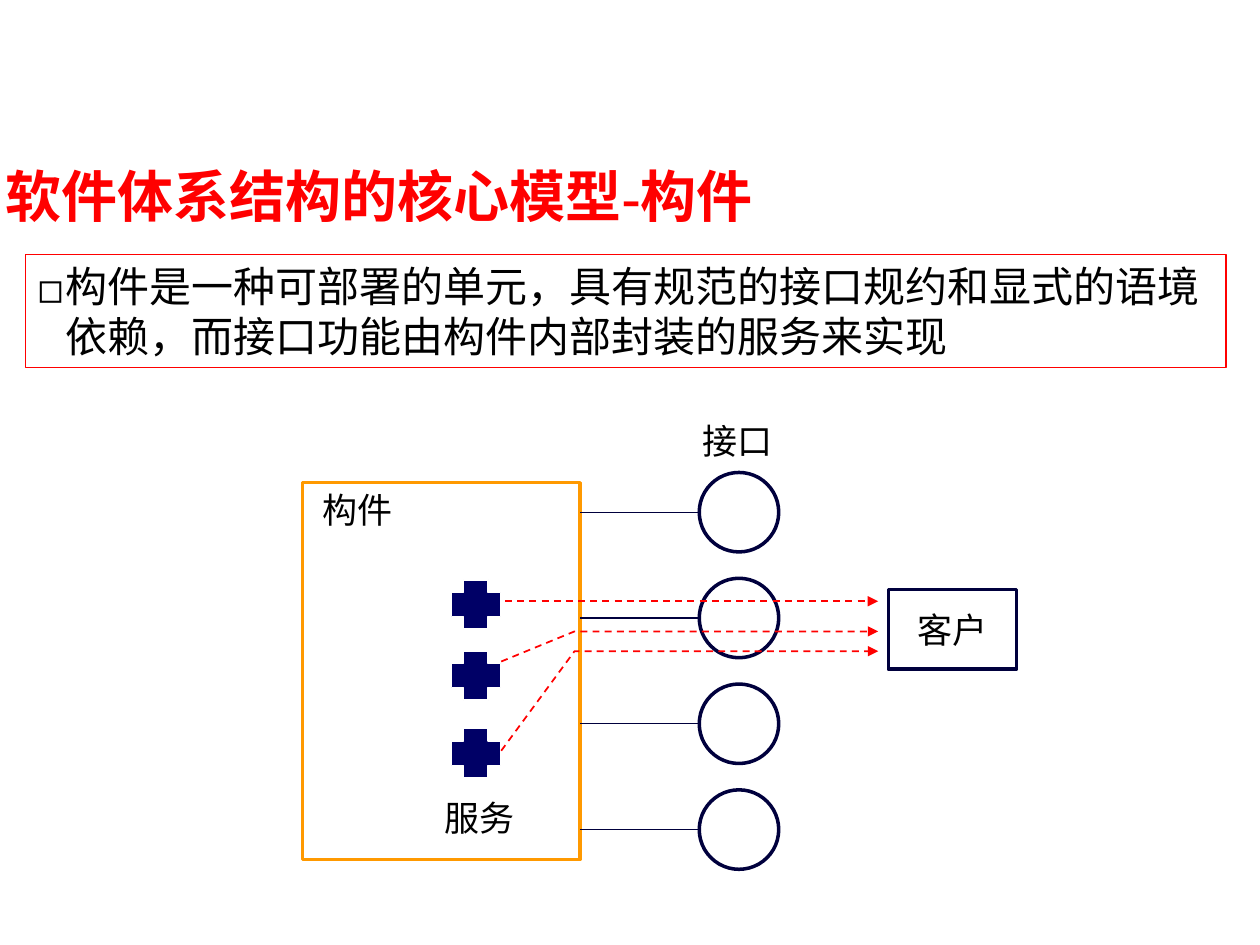
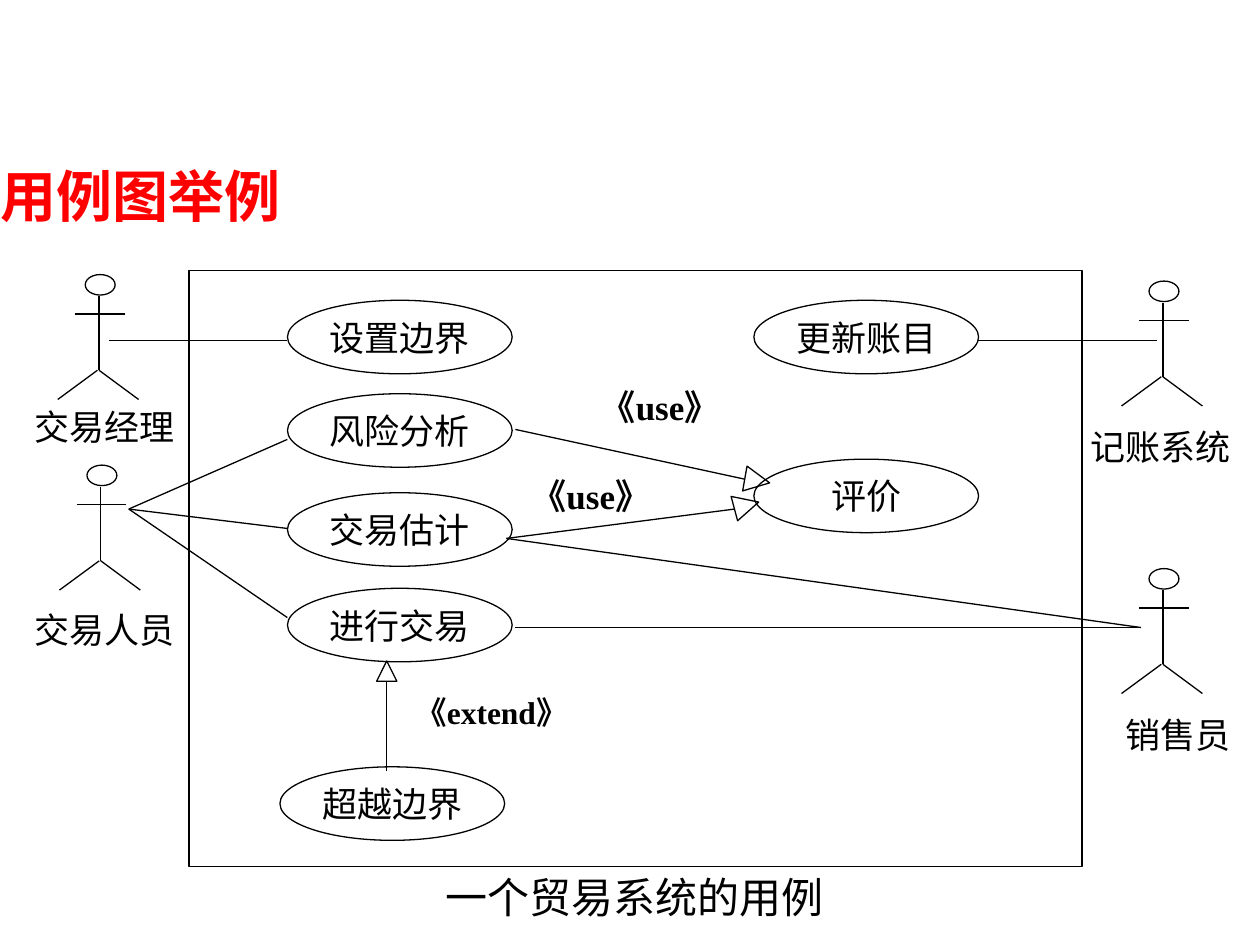
from lxml import etree
from pptx import Presentation
from pptx.dml.color import RGBColor
from pptx.enum.dml import MSO_LINE
from pptx.enum.shapes import MSO_CONNECTOR, MSO_SHAPE as Preset
from pptx.enum.text import MSO_ANCHOR as Anchor, MSO_AUTO_SIZE, PP_ALIGN as Align
from pptx.oxml.ns import qn
from pptx.util import Pt

RED = RGBColor(0xFF, 0x00, 0x00)
BLACK = RGBColor(0x00, 0x00, 0x00)
WHITE = RGBColor(0xFF, 0xFF, 0xFF)
ORANGE = RGBColor(0xFF, 0x99, 0x00)
NAVY = RGBColor(0x00, 0x00, 0x3D)
BLUE = RGBColor(0x00, 0x00, 0x66)
LATIN, CJK = "Times New Roman", "Noto Sans CJK SC"
THIN, THICK = 0.75, 2

# Slide 1 content, all lengths in points
COMPONENT_TITLE = "软件体系结构的核心模型-构件"
DEFINITION = "构件是一种可部署的单元，具有规范的接口规约和显式的语境依赖，而接口功能由构件内部封装的服务来实现"
DEFINITION_BOX = (14.4, 145.4, 686.2, 64.8)
DEFINITION_INDENT = 16.2
COMPONENT_BOX = (172.8, 275.8, 158.8, 215.3)
CLIENT_BOX = (507.6, 337, 73.4, 45.4)
INTERFACE_LEFT, INTERFACE_TOP, INTERFACE_SIZE = 399.6, 270, 45.4
INTERFACE_COUNT, INTERFACE_PITCH = 4, 60.45
SERVICE_LEFT, SERVICE_SIZE = 257.8, 28.1
SERVICE_TOPS = (331.4, 372, 416.4)
CALL_END, CALL_BEND = 501.8, 328.3
BENT_CALLS = [((286.4, 378), 360.8), ((286.4, 429), 372.1)]
COMPONENT_LABELS = [
    ("构件", (177.1, 275.8, 54, 31.7)),
    ("服务", (247, 451.4, 54, 31.7)),
    ("接口", (394.6, 236.2, 54, 31.7)),
]

# Slide 2 content
USE_CASE_TITLE = "用例图举例"
SYSTEM_BOX = (108, 154.6, 510.4, 340.4)
USE_CASE_SIZE = (128.4, 42)
USE_CASES = [
    ("设置边界", 164.3, 171.6), ("风险分析", 164.3, 225), ("交易估计", 164.3, 281.6),
    ("进行交易", 164.3, 336.2), ("超越边界", 160, 438.2),
    ("更新账目", 430.8, 171.6), ("评价", 430.8, 262.4),
]
ACTORS = [(48.7, 156.9), (49.7, 265.8), (656.6, 160.6), (656.6, 324.9)]
HEAD_SIZE = (17.1, 11.7)
LIMBS = [  # relative to the corner of the head
    (7.9, 12.3, 7.9, 54.7), (-5.7, 22.5, 22.6, 22.5),
    (7, 54.7, -15.7, 71.4), (7.9, 54.7, 30.5, 71.4),
]
RELATIONS = [
    (294.5, 245.4, 425.5, 273.8), (289.4, 307.7, 419.8, 290.9),  # use
    (221, 440.4, 221, 389.3),  # extend
    (164.2, 194.4, 62.3, 194.4),
    (73.6, 290.9, 164.2, 251.1), (73.6, 290.9, 164.2, 352.9), (73.6, 290.9, 164.2, 302),
    (289.4, 307.7, 652, 358.6), (294.5, 358.6, 652, 358.6),
    (559, 194.4, 661, 194.4),
]
ARROWHEADS = [  # box, rotation
    ((425.5, 267.5, 14.4, 14.4), 100), ((419.4, 281.6, 14.4, 14.4), 75),
    ((215.2, 377.7, 11.6, 11.6), 0),
]
STEREOTYPES = [
    ("《use》", (329, 216.7, 96.5, 31.7), 20),
    ("《use》", (289.4, 267.8, 96.5, 31.7), 20),
    ("《extend》", (232.6, 392.4, 96.5, 28.8), 18),
]
ACTOR_LABELS = [
    ("记账系统", (614.9, 239.8, 96.5, 31.7)), ("销售员", (635, 403.9, 76.3, 31.7)),
    ("交易经理", (11.5, 228.2, 96.5, 31.7)), ("交易人员", (11.5, 344.2, 96.5, 31.7)),
]
CAPTION = ("一个贸易系统的用例", (164.2, 494.6, 396.7, 36))


def points(values):
    return [Pt(value) for value in values]


def write(shape, text, size, color=BLACK, name=LATIN, bold=False,
          align=Align.CENTER, anchor=Anchor.MIDDLE, wrap=False, side=7.2):
    frame = shape.text_frame
    frame.auto_size = MSO_AUTO_SIZE.NONE
    frame.word_wrap = wrap
    frame.vertical_anchor = anchor
    frame.margin_left = frame.margin_right = Pt(side)
    frame.margin_top = frame.margin_bottom = Pt(3.6)
    paragraph = frame.paragraphs[0]
    paragraph.alignment = align
    run = paragraph.add_run()
    run.text = text
    font = run.font
    font.size, font.bold, font.name = Pt(size), bold, name
    font.color.rgb = color
    etree.SubElement(run._r.get_or_add_rPr(), qn("a:ea"), typeface=CJK)
    return paragraph


def add_label(slide, text, box, size=20, **style):
    write(slide.shapes.add_textbox(*points(box)), text, size, anchor=Anchor.TOP, **style)


def style_outline(shape, color, width, fill=None):
    shape.shadow.inherit = False
    if fill is None:
        shape.fill.background()
    else:
        shape.fill.solid()
        shape.fill.fore_color.rgb = fill
    shape.line.color.rgb = color
    shape.line.width = Pt(width)


def add_preset(slide, preset, box, color=BLACK, width=THIN, fill=None):
    shape = slide.shapes.add_shape(preset, *points(box))
    style_outline(shape, color, width, fill)
    return shape


def add_line(slide, ends, color=BLACK, width=THIN):
    line = slide.shapes.add_connector(MSO_CONNECTOR.STRAIGHT, *points(ends))
    line.line.color.rgb = color
    line.line.width = Pt(width)
    etree.SubElement(line._element.spPr, qn("a:effectLst"))
    return line


def make_call(shape):
    """Turn a line into a dashed arrow."""
    shape.line.dash_style = MSO_LINE.DASH
    etree.SubElement(shape.line._get_or_add_ln(), qn("a:tailEnd"), type="triangle")


def add_titled_slide(presentation, title, left):
    slide = presentation.slides.add_slide(presentation.slide_layouts[5])
    shape = slide.shapes.title
    shape.left, shape.top, shape.width, shape.height = points((left, 88.6, 540.7, 46))
    write(shape, title, 32, RED, bold=True, align=Align.LEFT, wrap=True, side=0)
    return slide


def add_definition(slide):
    shape = add_preset(slide, Preset.RECTANGLE, DEFINITION_BOX, RED, THIN, WHITE)
    paragraph = write(shape, DEFINITION, 24, name=CJK, align=Align.LEFT,
                      anchor=Anchor.TOP, wrap=True)
    properties = paragraph._p.get_or_add_pPr()
    properties.set("marL", str(Pt(DEFINITION_INDENT)))
    properties.set("indent", str(-Pt(DEFINITION_INDENT)))
    etree.SubElement(properties, qn("a:buFont"), typeface=CJK)
    etree.SubElement(properties, qn("a:buChar"), char="◻")


def build_component_slide(presentation):
    slide = add_titled_slide(presentation, COMPONENT_TITLE, 2.9)
    add_definition(slide)

    # Component with its interfaces
    add_preset(slide, Preset.RECTANGLE, COMPONENT_BOX, ORANGE, THICK, WHITE)
    component_right = COMPONENT_BOX[0] + COMPONENT_BOX[2]
    for index in range(INTERFACE_COUNT):
        top = INTERFACE_TOP + index * INTERFACE_PITCH
        middle = top + INTERFACE_SIZE / 2
        add_preset(slide, Preset.OVAL, (INTERFACE_LEFT, top, INTERFACE_SIZE, INTERFACE_SIZE),
                   NAVY, THICK, WHITE)
        add_line(slide, (component_right, middle, INTERFACE_LEFT, middle), NAVY)

    # Client and services
    client = add_preset(slide, Preset.RECTANGLE, CLIENT_BOX, NAVY, THICK, WHITE)
    write(client, "客户", 20, name=CJK)
    for top in SERVICE_TOPS:
        service = add_preset(slide, Preset.CROSS, (SERVICE_LEFT, top, SERVICE_SIZE, SERVICE_SIZE),
                             WHITE, THIN, BLUE)
        service.adjustments[0] = 0.25

    # Calls from services to the client
    make_call(add_line(slide, (288.7, 343.6, CALL_END, 343.6), RED, 1))
    for start, level in BENT_CALLS:
        builder = slide.shapes.build_freeform(*points(start))
        builder.add_line_segments(
            [points((CALL_BEND, level)), points((CALL_END, level))], close=False)
        call = builder.convert_to_shape()
        style_outline(call, RED, 1)
        make_call(call)

    for text, box in COMPONENT_LABELS:
        add_label(slide, text, box, name=CJK)


def build_use_case_slide(presentation):
    slide = add_titled_slide(presentation, USE_CASE_TITLE, 0)

    # System boundary and use cases
    add_preset(slide, Preset.RECTANGLE, SYSTEM_BOX)
    for text, left, top in USE_CASES:
        write(add_preset(slide, Preset.OVAL, (left, top, *USE_CASE_SIZE)), text, 20)

    # Actors
    for left, top in ACTORS:
        add_preset(slide, Preset.OVAL, (left, top, *HEAD_SIZE))
        for x1, y1, x2, y2 in LIMBS:
            add_line(slide, (left + x1, top + y1, left + x2, top + y2))

    # Relations and their hollow arrowheads
    for ends in RELATIONS:
        add_line(slide, ends)
    for box, rotation in ARROWHEADS:
        add_preset(slide, Preset.ISOSCELES_TRIANGLE, box).rotation = rotation

    # Labels
    for text, box, size in STEREOTYPES:
        add_label(slide, text, box, size, bold=True, side=0)
    for text, box in ACTOR_LABELS:
        add_label(slide, text, box, side=0)
    add_label(slide, *CAPTION, size=24)


def main():
    presentation = Presentation()
    presentation.slide_width, presentation.slide_height = Pt(720), Pt(540)
    build_component_slide(presentation)
    build_use_case_slide(presentation)
    presentation.save("out.pptx")


if __name__ == "__main__":
    main()
